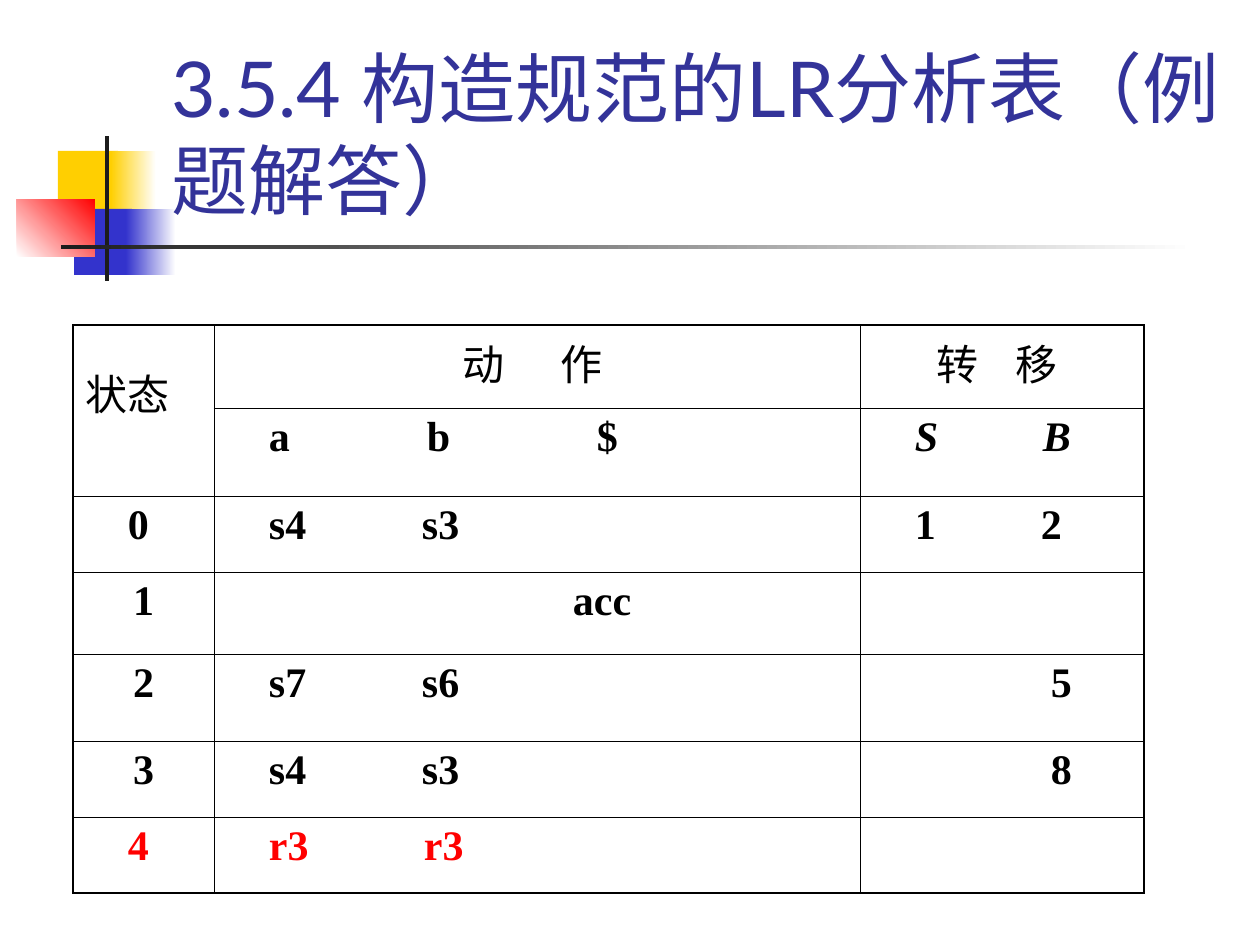
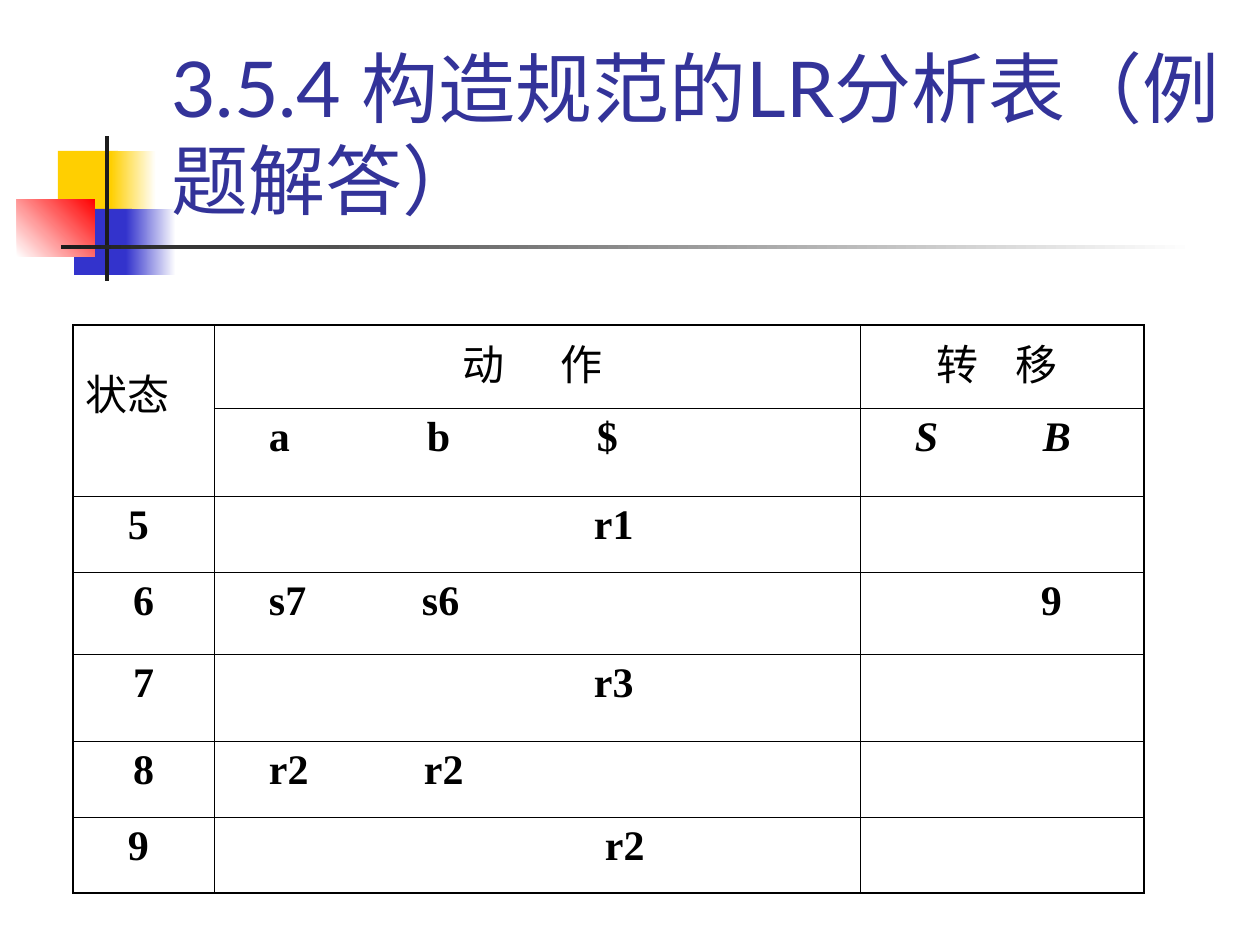
"""Build two slides that show a canonical LR parsing table."""
from dataclasses import dataclass

from lxml import etree
from pptx import Presentation, util as u
from pptx.dml import color
from pptx.enum import shapes, text
from pptx.oxml import ns

EMU_PER_PX = 914400 / 126


@dataclass(frozen=True)
class Theme:
    title: str = "333399"
    ink: str = "000000"
    accent: str = "FF0000"
    yellow: str = "FFCF01"
    blue: str = "3333CC"
    red: str = "FF0000"
    dark: str = "1C1C1C"
    white: str = "FFFFFF"
    title_font: str = "Lato"
    heading_font: str = "Noto Sans CJK SC"
    body_font: str = "Times New Roman"
    title_size: int = 44
    body_size: int = 24
    inner_line: float = 0.45
    outer_line: float = 1.08


THEME = Theme()
TITLE = "3.5.4 构造规范的LR分析表（例题解答）"
COLUMN_WIDTHS = (141, 646, 284)
ROW_HEIGHTS = (83, 88, 76, 82, 87, 76, 76)
INSET = 13

GROUP_HEADINGS = ([(236, "动"), (334, "作")], [(64, "转"), (143, "移")])
ACTION_SYMBOLS = [(42, "a"), (200, "b"), (370, "$")]
GOTO_SYMBOLS = [(42, "S"), (170, "B")]

FIRST_STATES = [
    ("0 ", [(42, "s4"), (195, "s3")], [(42, "1"), (168, "2")]),
    ("1", [(346, "acc")], []),
    ("2", [(42, "s7"), (195, "s6")], [(178, "5")]),
    ("3", [(42, "s4"), (195, "s3")], [(178, "8")]),
    ("4 ", [(42, "r3"), (197, "r3")], []),
]
LAST_STATES = [
    ("5 ", [(367, "r1")], []),
    ("6", [(42, "s7"), (195, "s6")], [(168, "9")]),
    ("7", [(367, "r3")], []),
    ("8", [(42, "r2"), (197, "r2")], []),
    ("9 ", [(378, "r2")], []),
]


def px(length):
    """Turn a length in px into EMU."""
    return u.Emu(round(length * EMU_PER_PX))


def rgb(value):
    """Turn a hex string into a colour."""
    return color.RGBColor.from_string(value)


def style(paragraph, name, size, colour, bold=False, italic=False):
    """Set the font of a whole paragraph."""
    font = paragraph.font
    font.name, font.size = name, u.Pt(size)
    font.bold, font.italic = bold, italic
    font.color.rgb = rgb(colour)


def add_block(slide, box, start, end=None, angle=0):
    """Add a borderless rectangle, plain or fading from start to end."""
    shape = slide.shapes.add_shape(shapes.MSO_SHAPE.RECTANGLE, *map(px, box))
    shape.shadow.inherit = False
    shape.line.fill.background()
    if end is None:
        shape.fill.solid()
        shape.fill.fore_color.rgb = rgb(start)
        return
    shape.fill.gradient()
    shape.fill.gradient_angle = angle
    for stop, colour in zip(shape.fill.gradient_stops, (start, end)):
        stop.color.rgb = rgb(colour)


def add_ornament(slide):
    """Add the coloured squares and the crossing bars."""
    add_block(slide, (58, 151, 60, 66), THEME.yellow)
    add_block(slide, (111, 151, 45, 66), THEME.yellow, THEME.white)
    add_block(slide, (74, 209, 58, 66), THEME.blue)
    add_block(slide, (126, 209, 50, 66), THEME.blue, THEME.white)
    add_block(slide, (17, 199, 78, 58), THEME.white, THEME.red, 45)
    add_block(slide, (105, 136, 4, 145), THEME.dark)
    add_block(slide, (61, 245, 1134, 4), THEME.dark, THEME.white)


def add_title(slide):
    """Add the slide title, resting on the bottom of its box."""
    frame = slide.shapes.add_textbox(*map(px, (159, 29, 1074, 202))).text_frame
    frame.word_wrap = True
    frame.vertical_anchor = text.MSO_ANCHOR.BOTTOM
    paragraph = frame.paragraphs[0]
    paragraph.text = TITLE
    style(paragraph, THEME.title_font, THEME.title_size, THEME.title)


def add_tabs(paragraph, positions):
    """Give a paragraph left tab stops at the given px positions."""
    tab_list = etree.SubElement(paragraph._p.get_or_add_pPr(), ns.qn("a:tabLst"))
    for position in positions:
        etree.SubElement(tab_list, ns.qn("a:tab"), pos=str(px(position)), algn="l")


def set_border(cell, side, width):
    """Draw one side of a cell."""
    line = etree.SubElement(cell._tc.get_or_add_tcPr(), ns.qn(f"a:ln{side}"),
                            w=str(u.Pt(width)))
    fill = etree.SubElement(line, ns.qn("a:solidFill"))
    etree.SubElement(fill, ns.qn("a:srgbClr"), val=THEME.ink)


def fill_entries(cell, entries, name=THEME.body_font, colour=THEME.ink,
                 bold=True, italic=False):
    """Write entries at their px offsets from the left inset of a cell."""
    if not entries:
        return
    first = entries[0][0]
    cell.margin_left = px(INSET + first)
    paragraph = cell.text_frame.paragraphs[0]
    paragraph.text = "\t".join(entry for _, entry in entries)
    if len(entries) > 1:
        add_tabs(paragraph, [offset - first for offset, _ in entries[1:]])
    style(paragraph, name, THEME.body_size, colour, bold, italic)


def fill_header(table):
    """Write the two header rows."""
    state = table.cell(0, 0)
    state.merge(table.cell(1, 0))
    paragraph = state.text_frame.paragraphs[0]
    paragraph.text = "状态"
    paragraph.line_spacing = 1.5
    style(paragraph, THEME.body_font, THEME.body_size, THEME.ink)
    for column, heading in enumerate(GROUP_HEADINGS, 1):
        fill_entries(table.cell(0, column), heading, THEME.heading_font, bold=False)
    fill_entries(table.cell(1, 1), ACTION_SYMBOLS)
    fill_entries(table.cell(1, 2), GOTO_SYMBOLS, italic=True)


def fill_state(table, row, state, actions, gotos, colour):
    """Write the row of one parser state."""
    paragraph = table.cell(row, 0).text_frame.paragraphs[0]
    paragraph.text = state
    paragraph.alignment = text.PP_ALIGN.CENTER
    style(paragraph, THEME.body_font, THEME.body_size, colour, bold=True)
    fill_entries(table.cell(row, 1), actions, colour=colour)
    fill_entries(table.cell(row, 2), gotos, colour=colour)


def draw_grid(table):
    """Clear the cell fills and draw thin inner and thicker outer lines."""
    last_row, last_column = len(ROW_HEIGHTS) - 1, len(COLUMN_WIDTHS) - 1
    for row in range(last_row + 1):
        for column in range(last_column + 1):
            cell = table.cell(row, column)
            outer = {"L": column == 0, "R": column == last_column,
                     "T": row == 0, "B": row == last_row}
            for side, is_outer in outer.items():
                set_border(cell, side, THEME.outer_line if is_outer else THEME.inner_line)
            cell.fill.background()


def add_parsing_table(slide, states, marked_state=None):
    """Add the action and goto table for the given states."""
    box = (73, 325, sum(COLUMN_WIDTHS), sum(ROW_HEIGHTS))
    table = slide.shapes.add_table(len(ROW_HEIGHTS), len(COLUMN_WIDTHS),
                                   *map(px, box)).table
    table.first_row = table.horz_banding = False
    for column, width in zip(table.columns, COLUMN_WIDTHS):
        column.width = px(width)
    for row, height in zip(table.rows, ROW_HEIGHTS):
        row.height = px(height)
    fill_header(table)
    for row, (state, actions, gotos) in enumerate(states, 2):
        colour = THEME.accent if state == marked_state else THEME.ink
        fill_state(table, row, state, actions, gotos, colour)
    draw_grid(table)


def main():
    """Build and save the presentation."""
    presentation = Presentation()
    presentation.slide_width, presentation.slide_height = px(1260), px(945)
    for states, marked_state in ((FIRST_STATES, "4 "), (LAST_STATES, None)):
        slide = presentation.slides.add_slide(presentation.slide_layouts[6])
        add_ornament(slide)
        add_title(slide)
        add_parsing_table(slide, states, marked_state)
    presentation.save("out.pptx")


if __name__ == "__main__":
    main()
